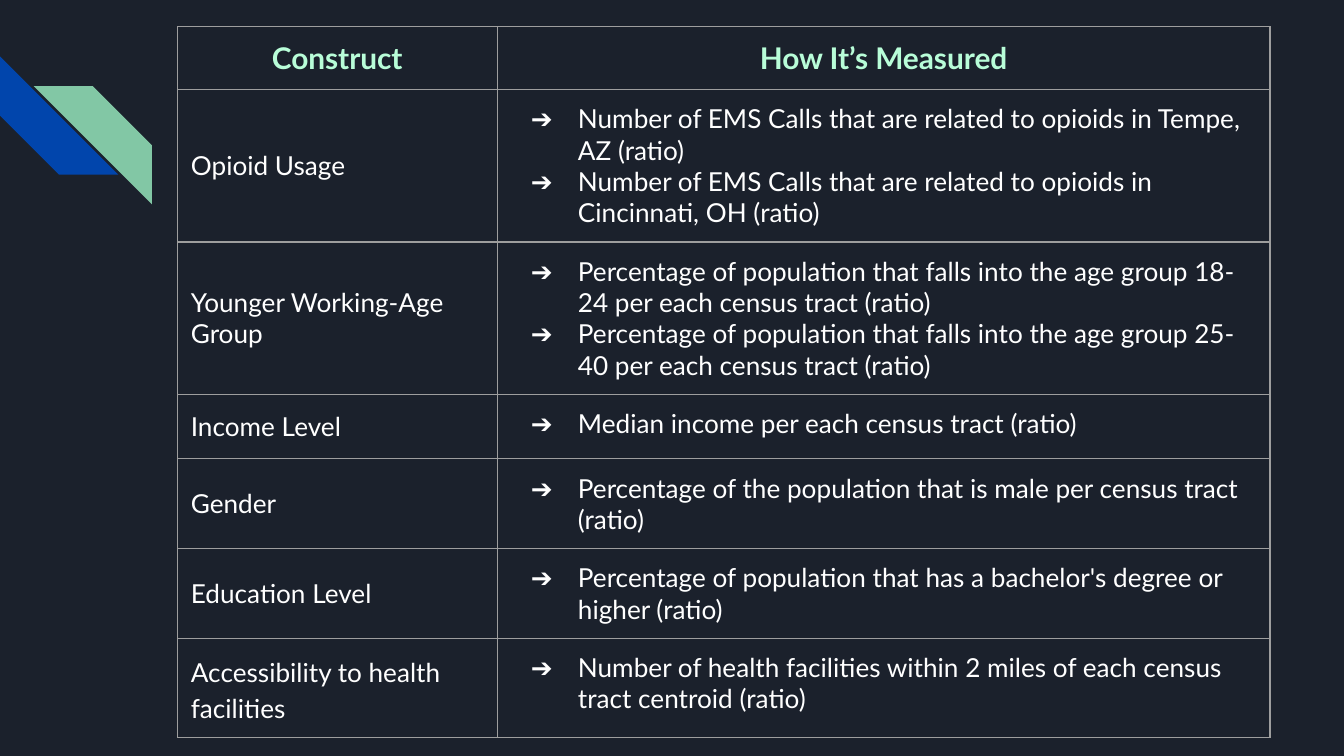
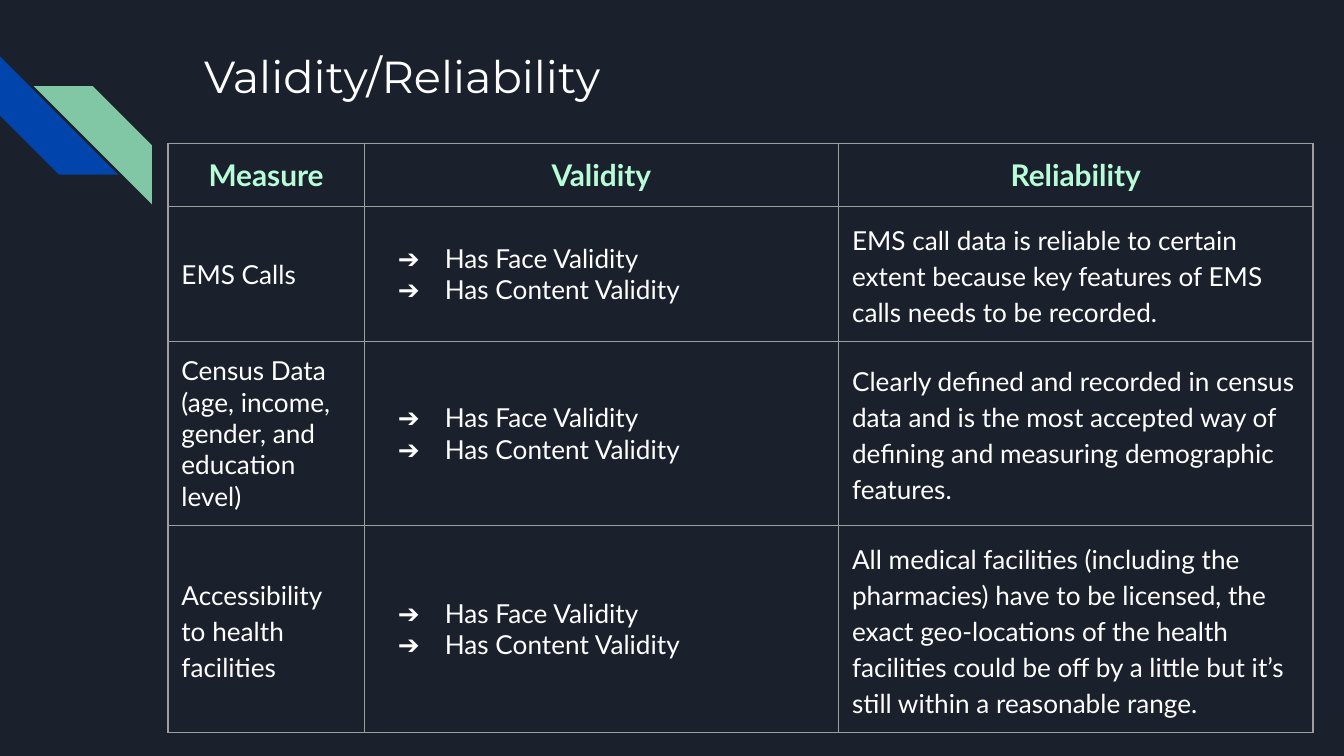
from lxml.etree import SubElement
from pptx import Presentation
from pptx.dml.color import RGBColor
from pptx.enum.shapes import MSO_SHAPE
from pptx.enum.text import MSO_ANCHOR, PP_ALIGN
from pptx.oxml.ns import qn
from pptx.util import Inches, Pt

COLORS = {
    "background": "1B212C",
    "blue": "0145AC",
    "green": "82C7A5",
    "header": "B8FDD8",
    "text": "FFFFFF",
    "border": "9E9E9E",
}
LOOSE_SPACING = 1.15
VALIDITY = ("bullets", "Has Face Validity", "Has Content Validity")
ACCESS = ("loose", "Accessibility to health facilities")

# Each body cell is a style followed by its paragraphs.
SLIDES = [
    {
        "title": None,
        "left": 1.32, "top": 0.2,
        "columns": [2.38, 5.75],
        "rows": [0.26, 0.84] + [0.48] * 5,
        "bullet_anchor": MSO_ANCHOR.TOP,
        "headers": ["Construct", "How It’s Measured"],
        "body": [
            [("plain", "Opioid Usage"),
             ("bullets",
              "Number of EMS Calls that are related to opioids in Tempe, AZ (ratio)",
              "Number of EMS Calls that are related to opioids in Cincinnati, OH (ratio)")],
            [("plain", "Younger Working-Age Group"),
             ("bullets",
              "Percentage of population that falls into the age group 18-24 per each census tract (ratio)",
              "Percentage of population that falls into the age group 25-40 per each census tract (ratio)")],
            [("plain", "Income Level"),
             ("bullets", "Median income per each census tract (ratio)")],
            [("plain", "Gender"),
             ("bullets", "Percentage of the population that is male per census tract (ratio)")],
            [("plain", "Education Level"),
             ("bullets", "Percentage of population that has a bachelor's degree or higher (ratio)")],
            [ACCESS,
             ("bullets",
              "Number of health facilities within 2 miles of each census tract centroid (ratio)")],
        ],
    },
    {
        "title": "Validity/Reliability",
        "left": 1.25, "top": 1.07,
        "columns": [1.46, 3.53, 3.53],
        "rows": [0.36, 0.87, 0.98, 1.29],
        "bullet_anchor": MSO_ANCHOR.MIDDLE,
        "headers": ["Measure", "Validity", "Reliability"],
        "body": [
            [("plain", "EMS Calls"), VALIDITY,
             ("loose", "EMS call data is reliable to certain extent because key features "
                       "of EMS calls needs to be recorded.")],
            [("plain", "Census Data", "(age, income, gender, and education level)"), VALIDITY,
             ("loose", "Clearly defined and recorded in census data and is the most accepted "
                       "way of defining and measuring demographic features.")],
            [ACCESS, VALIDITY,
             ("loose", "All medical facilities (including the pharmacies) have to be licensed, "
                       "the exact geo-locations of the health facilities could be off by a "
                       "little but it’s still within a reasonable range.")],
        ],
    },
]


def set_font(paragraph, name, size, color, bold=False):
    font = paragraph.font
    font.name, font.size, font.bold = name, Pt(size), bold
    font.color.rgb = RGBColor.from_string(COLORS[color])


def fill_cell(cell, style, lines, bullet_anchor):
    """Write the paragraphs of one table cell in its style and draw its borders."""
    cell.margin_left = cell.margin_right = Inches(0.1)
    cell.margin_top = cell.margin_bottom = Inches(0.1)
    cell.vertical_anchor = {"header": MSO_ANCHOR.TOP, "bullets": bullet_anchor}.get(
        style, MSO_ANCHOR.MIDDLE)
    cell.text_frame.text = "\n".join(lines)
    for paragraph in cell.text_frame.paragraphs:
        if style == "bullets":
            props = paragraph._p.get_or_add_pPr()
            props.set("marL", str(Inches(0.5)))
            props.set("indent", str(Inches(-0.35)))
            bullet_color = SubElement(props, qn("a:buClr"))
            SubElement(bullet_color, qn("a:srgbClr"), val=COLORS["text"])
            SubElement(props, qn("a:buFont"), typeface="Lato")
            SubElement(props, qn("a:buChar"), char="➔")
        elif style == "loose":
            paragraph.line_spacing = LOOSE_SPACING
        if style == "header":
            paragraph.alignment = PP_ALIGN.CENTER
            set_font(paragraph, "Lato", 16, "header", bold=True)
        else:
            set_font(paragraph, "Lato", 14, "text")

    cell_props = cell._tc.get_or_add_tcPr()
    for side in ("lnL", "lnR", "lnT", "lnB"):
        border = SubElement(cell_props, qn(f"a:{side}"), w=str(Pt(0.75)))
        border_fill = SubElement(border, qn("a:solidFill"))
        SubElement(border_fill, qn("a:srgbClr"), val=COLORS["border"])
    cell.fill.background()


prs = Presentation()
prs.slide_width = Inches(10)
prs.slide_height = prs.slide_width * 9 // 16
backdrop = prs.slide_master.background.fill
backdrop.solid()
backdrop.fore_color.rgb = RGBColor.from_string(COLORS["background"])

for content in SLIDES:
    slide = prs.slides.add_slide(prs.slide_layouts[6])

    for left, top, color in [(0, 0.42, "blue"), (0.25, 0.64, "green")]:
        stripe = slide.shapes.add_shape(
            MSO_SHAPE.DIAGONAL_STRIPE, Inches(left), Inches(top), Inches(0.88), Inches(0.88))
        stripe.adjustments[0] = 0.5
        stripe.shadow.inherit = False
        stripe.fill.solid()
        stripe.fill.fore_color.rgb = RGBColor.from_string(COLORS[color])
        stripe.line.fill.background()
        if color == "blue":
            stripe.rotation = 270
        else:
            stripe._element.spPr.xfrm.set("flipH", "1")

    if content["title"]:
        title = slide.shapes.add_textbox(
            Inches(1.42), Inches(0.26), Inches(7.7), Inches(1)).text_frame
        title.word_wrap = True
        title.margin_left = title.margin_right = Inches(0.1)
        title.margin_top = title.margin_bottom = Inches(0.1)
        title.text = content["title"]
        set_font(title.paragraphs[0], "Montserrat", 24, "text")

    columns, rows = content["columns"], content["rows"]
    table = slide.shapes.add_table(
        len(rows), len(columns), Inches(content["left"]), Inches(content["top"]),
        Inches(sum(columns)), Inches(sum(rows))).table
    table.first_row = table.horz_banding = False
    for column, width in zip(table.columns, columns):
        column.width = Inches(width)
    for row, height in zip(table.rows, rows):
        row.height = Inches(height)

    header_cells = [("header", text) for text in content["headers"]]
    for row, cells in zip(table.rows, [header_cells] + content["body"]):
        for cell, (style, *lines) in zip(row.cells, cells):
            fill_cell(cell, style, lines, content["bullet_anchor"])

prs.save("out.pptx")
